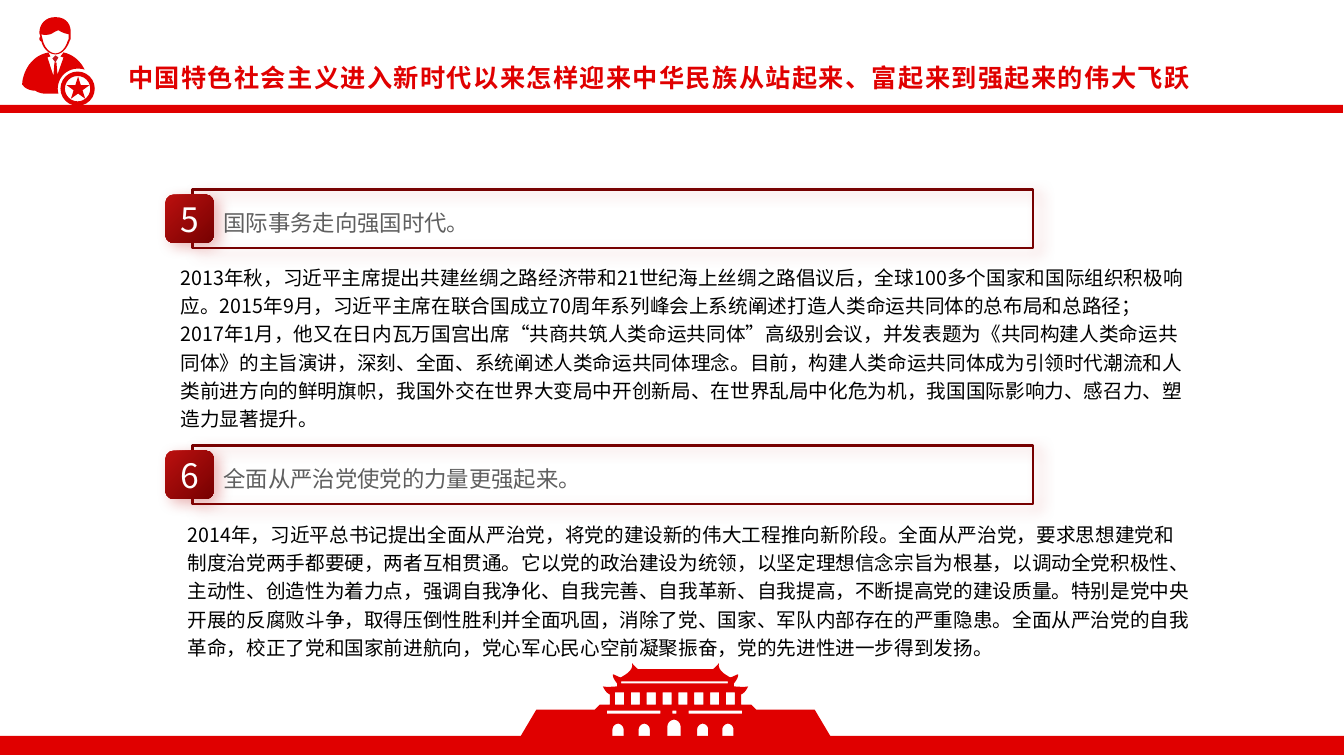
from dataclasses import dataclass
from lxml.etree import SubElement
from pptx import Presentation
from pptx.dml.color import RGBColor
from pptx.enum.shapes import MSO_SHAPE as Preset
from pptx.enum.text import MSO_ANCHOR as Anchor, MSO_AUTO_SIZE as AutoSize, PP_ALIGN as Align
from pptx.oxml.ns import qn
from pptx.util import Inches, Pt


@dataclass(frozen=True)
class Theme:
    font: str = "Noto Sans CJK SC"
    red: str = "E00000"
    tie: str = "C61821"
    bright: str = "BB100F"
    dark: str = "770101"
    heading: str = "5F5F5F"
    body: str = "000000"
    white: str = "FFFFFF"
    title_size: int = 18
    number_size: int = 24
    heading_size: int = 16
    body_size: int = 14


def flatten(contour, steps=8):
    points = [contour[0]]
    for part in contour[1:]:
        if len(part) == 2:
            points.append(part)
            continue
        start, (c, d), (e, f), end = points[-1], part[:2], part[2:4], part[4:]
        for step in range(1, steps + 1):
            t = step / steps
            u = 1 - t
            points.append(tuple(
                u**3 * p0 + 3 * u * u * t * p1 + 3 * u * t * t * p2 + t**3 * p3
                for p0, p1, p2, p3 in zip(start, (c, d), (e, f), end)))
    return points


def box(left, top, right, bottom):
    return [(left, top), (right, top), (right, bottom), (left, bottom)]


def arch(center, half, top, base):
    spring, k = top + half, half * 0.45
    return [(center - half, base), (center - half, spring),
            (center - half, top + k, center - k, top, center, top),
            (center + k, top, center + half, top + k, center + half, spring),
            (center + half, base)]


class SlideBuilder:
    def __init__(self, slide, theme):
        self.slide, self.theme = slide, theme
        self.shapes = slide.shapes

    def group(self):
        self.shapes = self.slide.shapes.add_group_shape().shapes

    def ungroup(self):
        self.shapes = self.slide.shapes

    def paint(self, shape, color):
        shape.shadow.inherit = False
        shape.fill.solid()
        shape.fill.fore_color.rgb = RGBColor.from_string(color)
        shape.line.fill.background()

    def preset(self, kind, frame, color, adjust=None):
        shape = self.shapes.add_shape(kind, *map(Inches, frame))
        if adjust is not None:
            shape.adjustments[0] = adjust
        self.paint(shape, color)
        return shape

    def outline(self, contours, color):
        rings = [[(Inches(x), Inches(y)) for x, y in flatten(c)] for c in contours]
        pen = self.shapes.build_freeform(*rings[0][0], scale=1.0)
        for index, ring in enumerate(rings):
            if index:
                pen.move_to(*ring[0])
            pen.add_line_segments(ring[1:], close=True)
        self.paint(pen.convert_to_shape(), color)

    def glow(self, shape):
        effects = shape.element.spPr.find(qn("a:effectLst"))
        shadow = SubElement(effects, qn("a:outerShdw"), blurRad=str(Pt(10)), dist=str(Pt(5)),
                            dir=str(36 * 60000), algn="tl", rotWithShape="0")
        color = SubElement(shadow, qn("a:srgbClr"), val=self.theme.bright)
        SubElement(color, qn("a:alpha"), val="30000")

    def frame(self, frame):
        shape = self.preset(Preset.RECTANGLE, frame, self.theme.white)
        shape.fill.background()
        shape.line.color.rgb = RGBColor.from_string(self.theme.dark)
        shape.line.width = Pt(1.5)
        self.glow(shape)

    def badge(self, frame):
        shape = self.preset(Preset.ROUNDED_RECTANGLE, frame, self.theme.bright, 0.167)
        shape.fill.gradient()
        shape.fill.gradient_angle = 315
        for stop, color in zip(shape.fill.gradient_stops, (self.theme.bright, self.theme.dark)):
            stop.color.rgb = RGBColor.from_string(color)
        self.glow(shape)

    def set_text(self, holder, text, size, color, align=Align.LEFT, spacing=1.0, bold=False):
        frame = holder.text_frame
        frame.word_wrap = True
        frame.auto_size = AutoSize.NONE
        frame.vertical_anchor = Anchor.TOP
        frame.text = text
        paragraph = frame.paragraphs[0]
        paragraph.alignment, paragraph.line_spacing = align, spacing
        paragraph.space_before = Pt(0)
        font = paragraph.font
        font.name, font.size, font.bold = self.theme.font, Pt(size), bold
        font.color.rgb = RGBColor.from_string(color)
        properties = paragraph._p.get_or_add_pPr()
        defaults = properties.find(qn("a:defRPr"))
        SubElement(defaults, qn("a:ea"), typeface=self.theme.font)
        return properties, defaults

    def label(self, frame, *style, **options):
        self.set_text(self.shapes.add_textbox(*map(Inches, frame)), *style, **options)

    def place(self, index, frame):
        holder = self.slide.placeholders[index]
        holder.left, holder.top, holder.width, holder.height = map(Inches, frame)
        return holder

    def title(self, frame, text):
        _, defaults = self.set_text(self.place(0, frame), text, self.theme.title_size,
                                    self.theme.red, bold=True)
        defaults.set("spc", "100")

    def body(self, index, frame, text):
        properties, defaults = self.set_text(self.place(index, frame), text,
                                             self.theme.body_size, self.theme.body, spacing=1.2)
        properties.set("marL", str(Inches(0.12)))
        properties.set("indent", "0")
        defaults.addprevious(properties.makeelement(qn("a:buNone")))

    def section(self, top, number, heading):
        self.group()
        self.frame((1.91, top, 8.34, 0.58))
        self.badge((1.64, top + 0.05, 0.48, 0.48))
        self.label((1.18, top + 0.04, 1.41, 0.5), number, self.theme.number_size,
                   self.theme.white, align=Align.CENTER)
        self.label((2.12, top + 0.01, 8.04, 0.5), heading, self.theme.heading_size,
                   self.theme.heading, spacing=1.5)
        self.ungroup()


HAIR = [(0.39, 0.38), (0.39, 0.4, 0.4, 0.41, 0.41, 0.41), (0.43, 0.49, 0.49, 0.54, 0.55, 0.54),
        (0.61, 0.54, 0.66, 0.49, 0.69, 0.41), (0.69, 0.4, 0.7, 0.4, 0.7, 0.38), (0.7, 0.34),
        (0.71, 0.26, 0.67, 0.17, 0.55, 0.17), (0.44, 0.17, 0.39, 0.25, 0.39, 0.33), (0.4, 0.36)]
FACE = [(0.41, 0.34), (0.43, 0.35, 0.49, 0.35, 0.52, 0.33), (0.55, 0.31, 0.58, 0.3, 0.58, 0.3),
        (0.58, 0.3, 0.59, 0.31, 0.64, 0.33), (0.68, 0.34), (0.68, 0.39), (0.67, 0.41),
        (0.65, 0.48, 0.6, 0.53, 0.55, 0.53), (0.5, 0.53, 0.45, 0.48, 0.43, 0.42)]
SUIT = [(0.63, 0.74), (0.69, 0.68, 0.77, 0.67, 0.84, 0.69), (0.81, 0.64),
        (0.77, 0.59, 0.72, 0.54, 0.63, 0.52), (0.6, 0.56), (0.63, 0.57), (0.57, 0.74),
        (0.56, 0.62), (0.54, 0.62), (0.53, 0.75), (0.47, 0.57), (0.5, 0.56), (0.48, 0.52),
        (0.38, 0.54, 0.33, 0.59, 0.29, 0.64), (0.24, 0.71, 0.22, 0.79, 0.22, 0.84),
        (0.23, 0.85), (0.26, 0.89, 0.32, 0.9, 0.35, 0.9), (0.38, 0.92, 0.42, 0.93, 0.46, 0.93),
        (0.58, 0.93), (0.56, 0.87, 0.58, 0.79, 0.63, 0.74)]
KNOT = [(0.52, 0.58), (0.55, 0.62), (0.58, 0.57), (0.55, 0.55)]
GATE_LEFT = [(6.33, 6.64), (6.33, 6.64, 6.3, 6.62, 6.27, 6.58),
             (6.29, 6.66, 6.17, 6.71, 6.16, 6.72), (6.14, 6.72, 6.11, 6.7, 6.08, 6.69),
             (6.07, 6.72, 6.12, 6.78, 6.12, 6.78), (6.12, 6.81),
             (6.12, 6.81, 6.01, 6.82, 5.98, 6.81), (6.01, 6.88, 6.05, 6.89, 6.05, 6.89),
             (6.05, 6.99), (5.95, 6.99), (5.9, 7.04), (5.32, 7.04), (5.16, 7.31)]
GATE_AXIS = 6.7
SLOTS = [(6.16, 6.76, 7.22, 6.78), (6.02, 7.05, 6.55, 7.08),
         (6.67, 7.05, 6.71, 7.08), (6.83, 7.05, 7.36, 7.08)]
DOORS = [6.13, 6.39, 6.97, 7.22]

TITLE = "中国特色社会主义进入新时代以来怎样迎来中华民族从站起来、富起来到强起来的伟大飞跃"
DIPLOMACY = (
    "2013年秋，习近平主席提出共建丝绸之路经济带和21世纪海上丝绸之路倡议后，全球100多个国家和国际组织积极响应。"
    "2015年9月，习近平主席在联合国成立70周年系列峰会上系统阐述打造人类命运共同体的总布局和总路径；"
    "2017年1月，他又在日内瓦万国宫出席“共商共筑人类命运共同体”高级别会议，并发表题为《共同构建人类命运共同体》的主旨演讲，"
    "深刻、全面、系统阐述人类命运共同体理念。目前，构建人类命运共同体成为引领时代潮流和人类前进方向的鲜明旗帜，"
    "我国外交在世界大变局中开创新局、在世界乱局中化危为机，我国国际影响力、感召力、塑造力显著提升。")
GOVERNANCE = (
    "2014年，习近平总书记提出全面从严治党，将党的建设新的伟大工程推向新阶段。全面从严治党，要求思想建党和制度治党两手都要硬，"
    "两者互相贯通。它以党的政治建设为统领，以坚定理想信念宗旨为根基，以调动全党积极性、主动性、创造性为着力点，"
    "强调自我净化、自我完善、自我革新、自我提高，不断提高党的建设质量。特别是党中央开展的反腐败斗争，"
    "取得压倒性胜利并全面巩固，消除了党、国家、军队内部存在的严重隐患。全面从严治党的自我革命，"
    "校正了党和国家前进航向，党心军心民心空前凝聚振奋，党的先进性进一步得到发扬。")


def main():
    deck = Presentation()
    deck.slide_width, deck.slide_height = Inches(13.33), Inches(7.5)
    theme = Theme()
    page = SlideBuilder(deck.slides.add_slide(deck.slide_layouts[3]), theme)

    page.group()
    page.preset(Preset.DONUT, (0.6, 0.71, 0.34, 0.34), theme.red, 0.13)
    page.preset(Preset.STAR_5_POINT, (0.66, 0.76, 0.23, 0.22), theme.red)
    page.outline([KNOT], theme.tie)
    page.outline([HAIR, FACE], theme.red)
    page.outline([SUIT], theme.red)
    page.ungroup()

    page.preset(Preset.RECTANGLE, (0, 7.3, 13.33, 0.19), theme.red)
    left = flatten(GATE_LEFT)
    walls = left + [(2 * GATE_AXIS - x, y) for x, y in reversed(left)]
    windows = [box(x, 6.87, x + 0.09, 6.99) for x in (6.1 + 1.1 / 7 * i for i in range(8))]
    doors = [arch(x, 0.055, 7.18, 7.31) for x in DOORS] + [arch(6.685, 0.065, 7.14, 7.31)]
    page.outline([walls, *windows, *(box(*slot) for slot in SLOTS), *doors], theme.red)
    page.preset(Preset.RECTANGLE, (-0.01, 1.04, 13.33, 0.08), theme.red)

    page.title((1.17, 0.57, 11.7, 0.4), TITLE)
    page.section(1.88, "5", "国际事务走向强国时代。")
    page.body(1, (1.57, 2.54, 10.28, 1.8), DIPLOMACY)
    page.section(4.42, "6", "全面从严治党使党的力量更强起来。")
    page.body(2, (1.64, 5.09, 10.28, 1.51), GOVERNANCE)
    deck.save("out.pptx")


if __name__ == "__main__":
    main()
